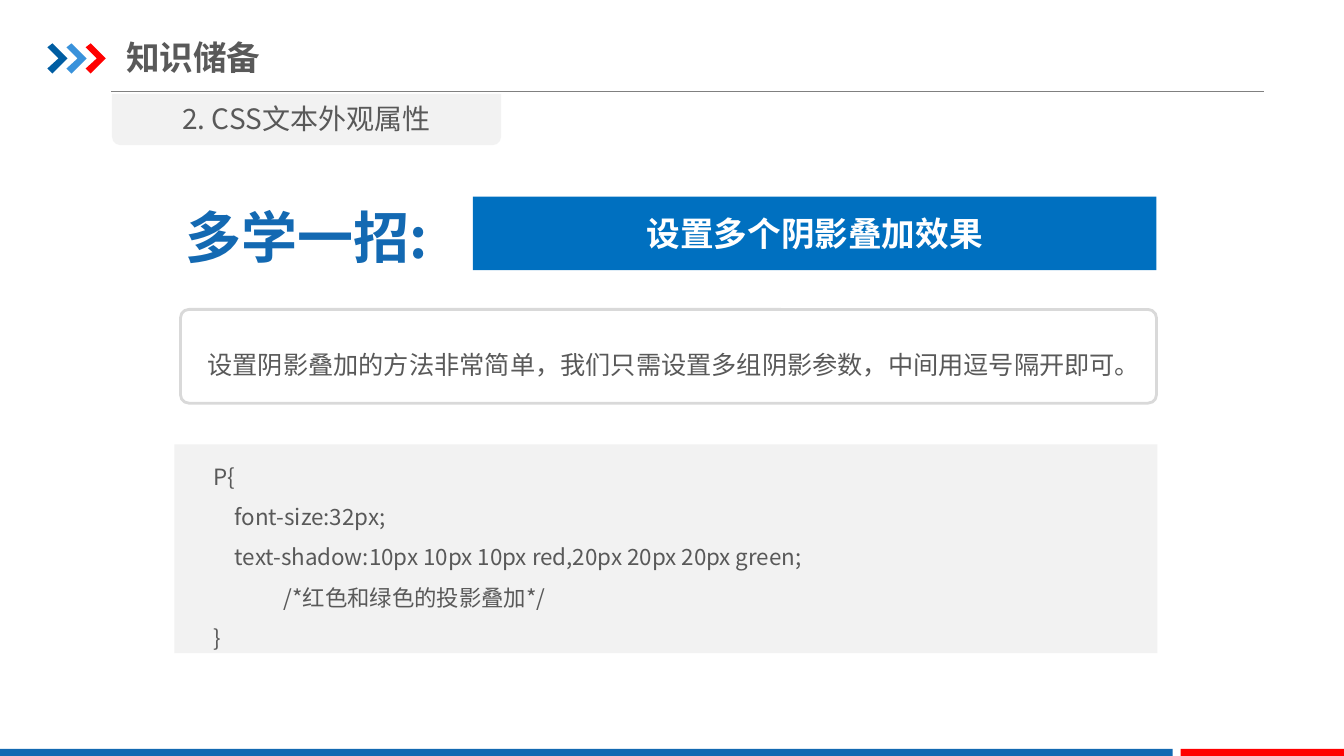
from dataclasses import dataclass, field

from lxml.etree import SubElement
from pptx import Presentation
from pptx.dml.color import RGBColor as Rgb
from pptx.enum.shapes import MSO_CONNECTOR as Conn, MSO_SHAPE as Kind
from pptx.enum.text import MSO_ANCHOR as Anchor, MSO_AUTO_SIZE as Auto, PP_ALIGN as Align
from pptx.oxml.ns import qn
from pptx.util import Inches, Pt

FONT = "Noto Sans CJK SC"
HUES = {
    "text": "595959", "white": "FFFFFF", "pale": "F2F2F2", "edge": "D9D9D9",
    "rule": "808080", "blue": "1369B2", "band": "0070C0", "red": "FF0000",
    "navy": "005DA2", "sky": "3992DB",
}


@dataclass
class Block:
    kind: Kind
    at: tuple
    fill: str = ""
    edge: str = ""
    turn: int = 0
    round: float = 0


@dataclass
class Label:
    at: tuple
    lines: list
    size: int
    hue: str = "text"
    bold: bool = False
    para: dict = field(default_factory=dict)
    frame: dict = field(default_factory=dict)
    indent: float = 0


def color(name: str) -> Rgb:
    return Rgb.from_string(HUES[name])


def apply(thing, values: dict) -> None:
    for name, value in values.items():
        setattr(thing, name, value)


def paint(shape, fill: str, edge: str = "") -> None:
    shape.shadow.inherit = False
    if fill:
        shape.fill.solid()
        shape.fill.fore_color.rgb = color(fill)
    else:
        shape.fill.background()
    if edge:
        shape.line.color.rgb = color(edge)
        shape.line.width = Pt(2)
    else:
        shape.line.fill.background()


def draw(shapes, block: Block):
    shape = shapes.add_shape(block.kind, *map(Inches, block.at))
    paint(shape, block.fill, block.edge)
    shape.rotation = block.turn
    if block.round:
        shape.adjustments[0] = block.round
    return shape


def write(shape, label: Label) -> None:
    frame = shape.text_frame
    apply(frame, {"word_wrap": True, "auto_size": Auto.NONE,
                  "vertical_anchor": Anchor.TOP, **label.frame})
    for i, line in enumerate(label.lines):
        para = frame.paragraphs[0] if i == 0 else frame.add_paragraph()
        apply(para, {"alignment": Align.LEFT, **label.para})
        if label.indent:
            props = para._p.get_or_add_pPr()
            props.set("marL", "0")
            props.set("indent", str(Inches(label.indent)))
        run = para.add_run()
        run.text = line
        apply(run.font, {"name": FONT, "size": Pt(label.size), "bold": label.bold})
        run.font.color.rgb = color(label.hue)
        SubElement(run._r.get_or_add_rPr(), qn("a:ea")).set("typeface", FONT)


def chevron(shapes, left: float, hue: str) -> None:
    spots = [(0, 0.47), (0.05, 0.43), (0.2, 0.58), (0.05, 0.73), (0, 0.68), (0.11, 0.58)]
    points = [(Inches(left + x), Inches(y)) for x, y in spots]
    pen = shapes.build_freeform(*points[0])
    pen.add_line_segments(points[1:], close=True)
    paint(pen.convert_to_shape(), hue)


def rule(shapes) -> None:
    line = shapes.add_connector(Conn.STRAIGHT, *map(Inches, (1.1, 0.91, 12.54, 0.91)))
    line.line.color.rgb = color("rule")
    line.line.width = Pt(0.75)
    SubElement(line._element.spPr, qn("a:effectLst"))


BLOCKS = [
    Block(Kind.RECTANGLE, (0, 7.43, 11.63, 0.09), "blue"),
    Block(Kind.RECTANGLE, (11.71, 7.43, 1.63, 0.09), "red"),
    Block(Kind.ROUND_2_SAME_RECTANGLE, (1.11, 0.93, 3.86, 0.51), "pale", turn=180),
    Block(Kind.RECTANGLE, (4.69, 1.95, 6.78, 0.73), "band"),
    Block(Kind.ROUNDED_RECTANGLE, (1.79, 3.07, 9.68, 0.93), edge="edge", round=0.09),
]
MID = {"alignment": Align.CENTER}
LABELS = [
    Label((1.11, 0.96, 3.86, 0.44), ["2. CSS文本外观属性"], 20, para=MID),
    Label((4.69, 2.06, 6.78, 0.5), ["设置多个阴影叠加效果"], 24, "white", True, MID),
    Label((1.96, 3.27, 9.38, 0.56),
          ["设置阴影叠加的方法非常简单，我们只需设置多组阴影参数，中间用逗号隔开即可。"],
          18, para={"line_spacing": 1.5}),
    Label((1.74, 1.96, 2.61, 0.77), ["多学一招:"], 40, "blue", True,
          frame={"word_wrap": False}),
]
TITLE = Label((1.25, 0.29, 4.26, 0.55), ["知识储备"], 24, bold=True,
              frame={"vertical_anchor": Anchor.MIDDLE, "margin_left": 0, "margin_right": 0})
CODE = Label((1.73, 4.41, 9.75, 2.07), [
    "P{",
    "\tfont-size:32px;",
    "\ttext-shadow:10px 10px 10px red,20px 20px 20px green;",
    "              /*红色和绿色的投影叠加*/",
    "}",
], 16, para={"alignment": Align.JUSTIFY, "line_spacing": 1.5}, indent=0.29)


def main() -> None:
    deck = Presentation()
    apply(deck, {"slide_width": Inches(13.33), "slide_height": Inches(7.5)})
    slide = deck.slides.add_slide(deck.slide_layouts[5])
    shapes = slide.shapes
    title = shapes.title
    apply(title, dict(zip(("left", "top", "width", "height"), map(Inches, TITLE.at))))
    write(title, TITLE)
    rule(shapes)
    for i, hue in enumerate(("navy", "sky", "red")):
        chevron(shapes, 0.47 + 0.19 * i, hue)
    for block in BLOCKS:
        draw(shapes, block)
    for label in LABELS:
        write(shapes.add_textbox(*map(Inches, label.at)), label)
    write(draw(shapes, Block(Kind.RECTANGLE, CODE.at, "pale")), CODE)
    deck.save("out.pptx")


if __name__ == "__main__":
    main()
